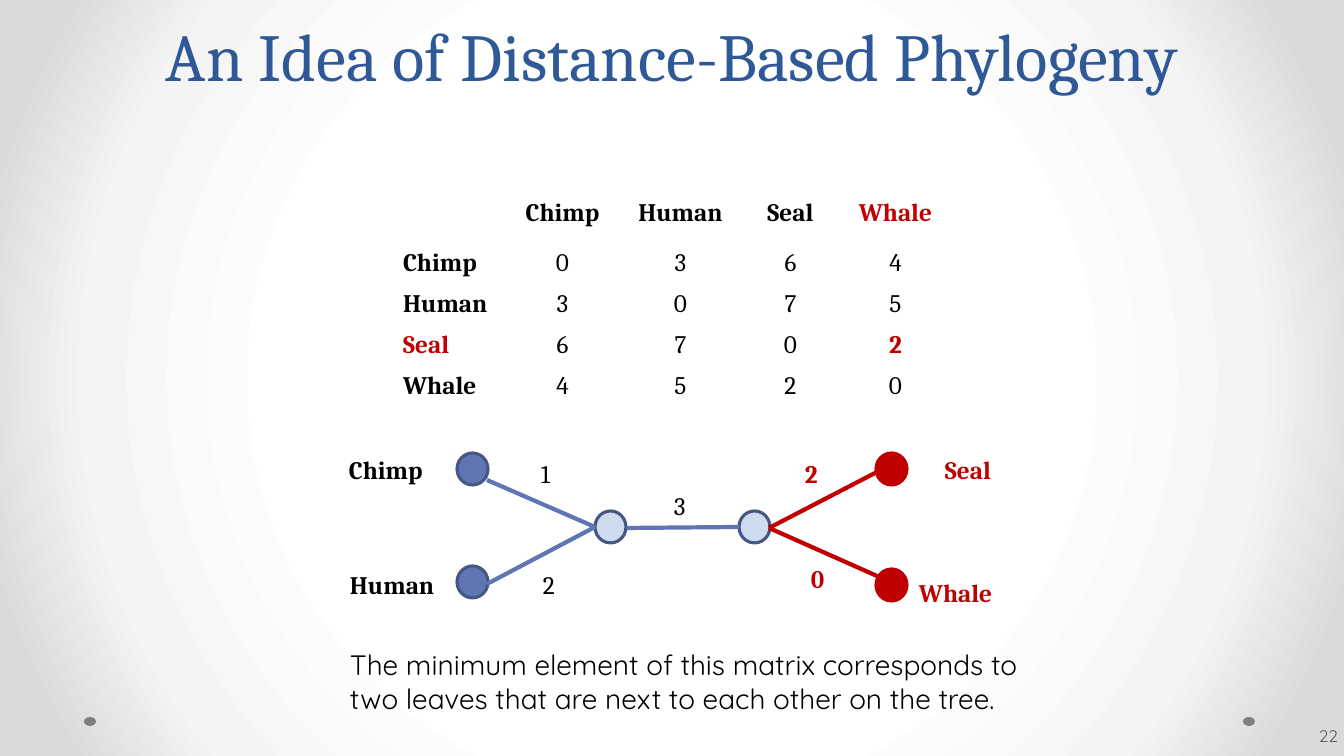
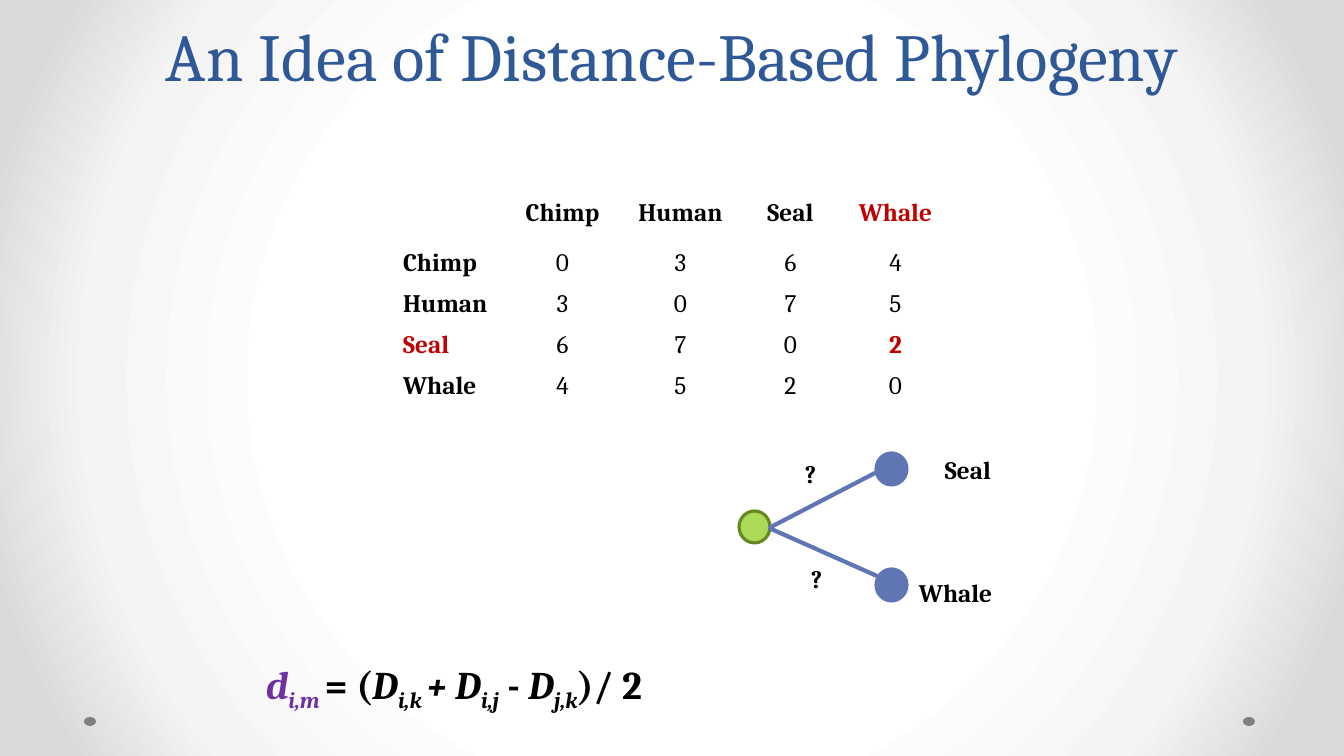
from dataclasses import dataclass

from lxml import etree
from pptx import Presentation
from pptx.dml.color import RGBColor
from pptx.enum.shapes import MSO_CONNECTOR as Connector, MSO_SHAPE as Preset
from pptx.enum.text import MSO_ANCHOR as Anchor, MSO_AUTO_SIZE as AutoSize, PP_ALIGN as Align
from pptx.oxml.ns import qn
from pptx.util import Emu, Pt


@dataclass(frozen=True)
class Theme:
    serif: str = "Cambria"
    sans: str = "Quicksand"
    title: str = "2F5897"
    ink: str = "000000"
    red: str = "C00000"
    blue: str = "6076B4"
    navy: str = "475785"
    pale: str = "CFDCF0"
    green: str = "ABD958"
    moss: str = "63891F"
    purple: str = "7030A0"
    gray: str = "595959"
    dot: str = "808080"
    gradient: tuple = ((50, "FFFFFF"), (76, "F4F4F4"), (92, "DADADA"))
    title_size: int = 48
    formula_size: int = 28
    caption_size: int = 20
    body_size: int = 18
    number_size: int = 12


theme = Theme()
SCALE = 914400 / 100.8


def px(*lengths):
    return [Emu(round(length * SCALE)) for length in lengths]


def write(frame, text, size=theme.body_size, font=theme.serif, color=theme.ink, bold=False,
          italic=False, baseline=0, align=Align.LEFT):
    paragraph = frame.paragraphs[0]
    paragraph.alignment = align
    run = paragraph.add_run()
    run.text = text
    run.font.size = Pt(size)
    run.font.name = font
    run.font.bold = bold
    run.font.italic = italic
    run.font.color.rgb = RGBColor.from_string(color)
    if baseline:
        run._r.get_or_add_rPr().set("baseline", str(baseline * 1000))
    return paragraph


species = ["Chimp", "Human", "Seal", "Whale"]
distances = [[0, 3, 6, 4], [3, 0, 7, 5], [6, 7, 0, 2], [4, 5, 2, 0]]
column_widths = [108, 123, 113, 107, 103]
row_heights = [50, 41, 41, 41, 41]
highlighted = {(0, 4), (3, 0), (3, 4)}

node_places = {"Chimp": (457, 453), "Human": (457, 566), "left": (595, 511),
               "right": (739, 511), "Seal": (876, 453), "Whale": (876, 569)}
edge_ends = {"Chimp": (487, 480, 595, 527), "Human": (487, 584, 595, 527),
             "Whale": (769, 528, 877, 576), "Seal": (769, 528, 877, 472),
             "middle": (627, 528, 739, 527)}
weight_places = {"Chimp": (531, 453), "middle": (664, 485), "Human": (533, 564),
                 "Seal": (795, 453), "Whale": (801, 558)}
name_places = {"Chimp": (339, 449, 101), "Human": (340, 564, 108),
               "Whale": (909, 572, 96), "Seal": (935, 449, 70)}

leaf = (theme.blue, theme.navy)
inner = (theme.pale, theme.navy)
red_leaf = (theme.red, theme.red)
blue_leaf = (theme.blue, theme.blue)
full_tree = {
    "nodes": {"Chimp": leaf, "Human": leaf, "left": inner, "right": inner,
              "Seal": red_leaf, "Whale": red_leaf},
    "edges": {"Chimp": theme.blue, "Human": theme.blue, "Whale": theme.red,
              "Seal": theme.red, "middle": theme.blue},
    "weights": {"Chimp": ("1", theme.ink, False), "middle": ("3", theme.ink, False),
                "Human": ("2", theme.ink, False), "Seal": ("2", theme.red, True),
                "Whale": ("0", theme.red, True)},
    "weight_width": 33,
    "names": {"Chimp": theme.ink, "Human": theme.ink, "Whale": theme.red, "Seal": theme.red},
}
neighbor_tree = {
    "nodes": {"right": (theme.green, theme.moss), "Seal": blue_leaf, "Whale": blue_leaf},
    "edges": {"Whale": theme.blue, "Seal": theme.blue},
    "weights": {"Seal": ("?", theme.ink, True), "Whale": ("?", theme.ink, True)},
    "weight_width": 31,
    "names": {"Whale": theme.ink, "Seal": theme.ink},
}

presentation = Presentation()
presentation.slide_width, presentation.slide_height = px(1344, 756)

master = presentation.slide_master
master.background.fill.gradient()
gradient = master.element.find(".//" + qn("a:gradFill"))
for child in list(gradient):
    gradient.remove(child)
stops = etree.SubElement(gradient, qn("a:gsLst"))
for position, color in theme.gradient:
    stop = etree.SubElement(stops, qn("a:gs"), pos=str(position * 1000))
    etree.SubElement(stop, qn("a:srgbClr"), val=color)
circle = etree.SubElement(gradient, qn("a:path"), path="circle")
etree.SubElement(circle, qn("a:fillToRect"), l="50000", t="50000", r="50000", b="50000")

slides = []
for tree in (full_tree, neighbor_tree):
    slide = presentation.slides.add_slide(presentation.slide_layouts[6])
    slides.append(slide)

    for left in (1243, 84):
        dot = slide.shapes.add_shape(Preset.OVAL, *px(left, 717, 12, 9))
        dot.shadow.inherit = False
        dot.fill.solid()
        dot.fill.fore_color.rgb = RGBColor.from_string(theme.dot)
        dot.line.fill.background()

    frame = slide.shapes.add_textbox(*px(67, 1, 1210, 99)).text_frame
    frame.word_wrap = True
    frame.vertical_anchor = Anchor.BOTTOM
    title = write(frame, "An Idea of Distance-Based Phylogeny", size=theme.title_size,
                  color=theme.title, align=Align.CENTER)
    title.line_spacing = Pt(58)

    table = slide.shapes.add_table(
        5, 5, *px(393, 194, sum(column_widths), sum(row_heights))).table
    table.first_row = False
    table.horz_banding = False
    table._tbl.tblPr.find(qn("a:tableStyleId")).text = "{2D5ABB26-0587-4C30-8999-92F81FD0307C}"
    for column, width in zip(table.columns, px(*column_widths)):
        column.width = width
    for row, height in zip(table.rows, px(*row_heights)):
        row.height = height
    matrix = [[""] + species] + [[name] + values for name, values in zip(species, distances)]
    for row_index, values in enumerate(matrix):
        for column_index, value in enumerate(values):
            cell = table.cell(row_index, column_index)
            cell.fill.background()
            if value == "":
                continue
            is_red = (row_index, column_index) in highlighted
            write(cell.text_frame, str(value), color=theme.red if is_red else theme.ink,
                  bold=is_red or value in species,
                  align=Align.CENTER if column_index else Align.LEFT)

    for name, (fill, outline) in tree["nodes"].items():
        node = slide.shapes.add_shape(Preset.OVAL, *px(*node_places[name], 31, 32))
        node.shadow.inherit = False
        node.fill.solid()
        node.fill.fore_color.rgb = RGBColor.from_string(fill)
        node.line.color.rgb = RGBColor.from_string(outline)
        node.line.width = Pt(2.25)

    for name, color in tree["edges"].items():
        edge = slide.shapes.add_connector(Connector.STRAIGHT, *px(*edge_ends[name]))
        edge.line.color.rgb = RGBColor.from_string(color)
        edge.line.width = Pt(3)
        etree.SubElement(edge._element.spPr, qn("a:effectLst"))

    labels = [(text, (*weight_places[name], tree["weight_width"]), color, bold)
              for name, (text, color, bold) in tree["weights"].items()]
    labels += [(name, name_places[name], color, True) for name, color in tree["names"].items()]
    for text, place, color, bold in labels:
        frame = slide.shapes.add_textbox(*px(*place, 40)).text_frame
        frame.word_wrap = False
        frame.auto_size = AutoSize.SHAPE_TO_FIT_TEXT
        write(frame, text, color=color, bold=bold)

tree_slide, formula_slide = slides

frame = tree_slide.shapes.add_textbox(*px(1041, 716, 302, 40)).text_frame
frame.word_wrap = True
frame.vertical_anchor = Anchor.MIDDLE
frame.margin_left, frame.margin_right = px(3, 5)
write(frame, "22", size=theme.number_size, font=theme.sans, color=theme.gray, align=Align.RIGHT)

frame = tree_slide.shapes.add_textbox(*px(340, 643, 732, 78)).text_frame
frame.word_wrap = True
frame.auto_size = AutoSize.SHAPE_TO_FIT_TEXT
write(frame, "The minimum element of this matrix corresponds to two leaves that are next to "
             "each other on the tree.", size=theme.caption_size, font=theme.sans)

frame = formula_slide.shapes.add_textbox(*px(256, 655, 429, 57)).text_frame
frame.word_wrap = False
frame.auto_size = AutoSize.SHAPE_TO_FIT_TEXT
for text, color, italic, baseline in [
    ("d", theme.purple, True, 0),
    ("i,m ", theme.purple, True, -25),
    ("= (", theme.ink, False, 0),
    ("D", theme.ink, True, 0),
    ("i,k ", theme.ink, True, -25),
    ("+ D", theme.ink, True, 0),
    ("i,j", theme.ink, True, -25),
    (" - ", theme.ink, False, 0),
    ("D", theme.ink, True, 0),
    ("j,k", theme.ink, True, -25),
    (")/ 2", theme.ink, False, 0),
]:
    write(frame, text, size=theme.formula_size, color=color, bold=True, italic=italic,
          baseline=baseline)

presentation.save("out.pptx")
